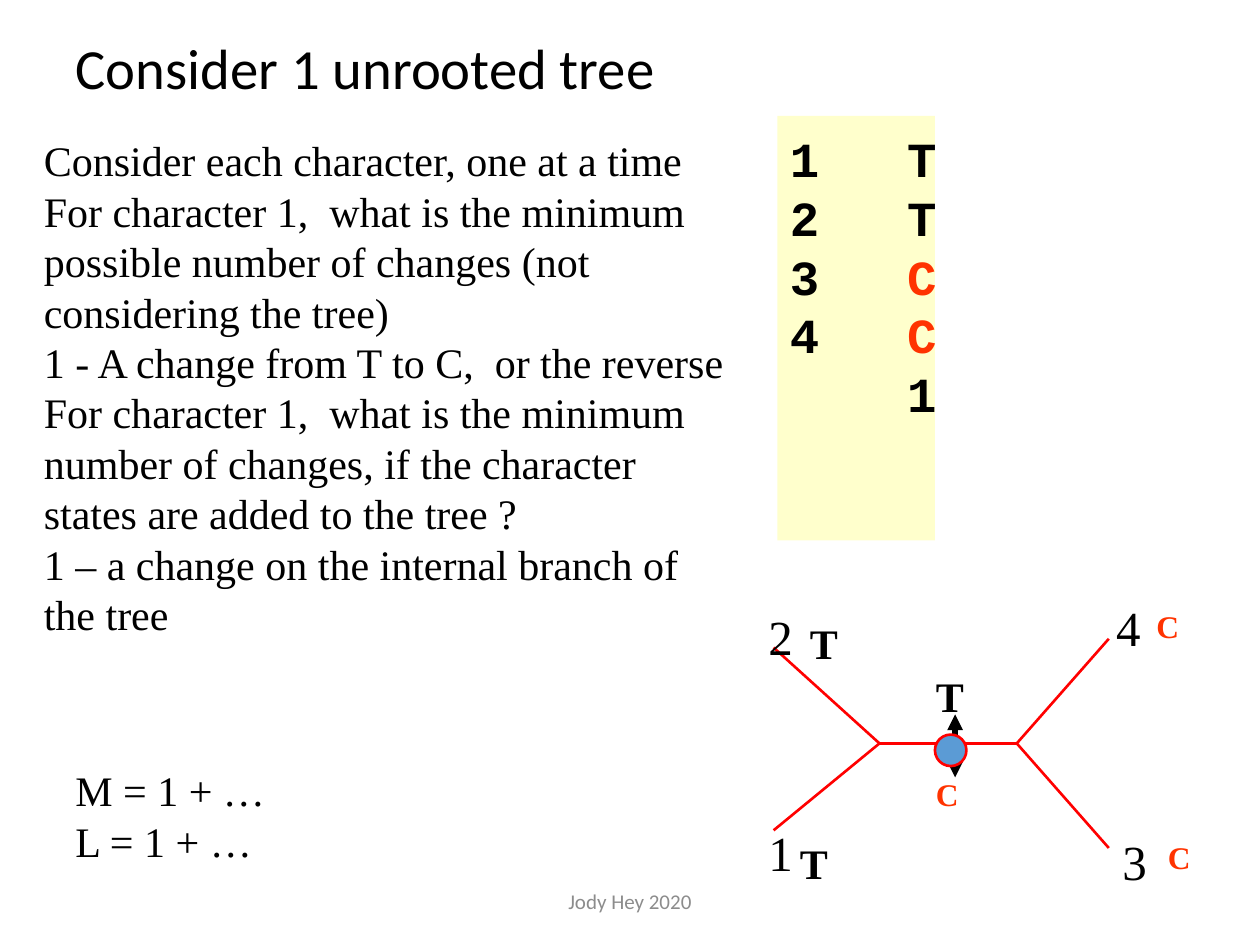
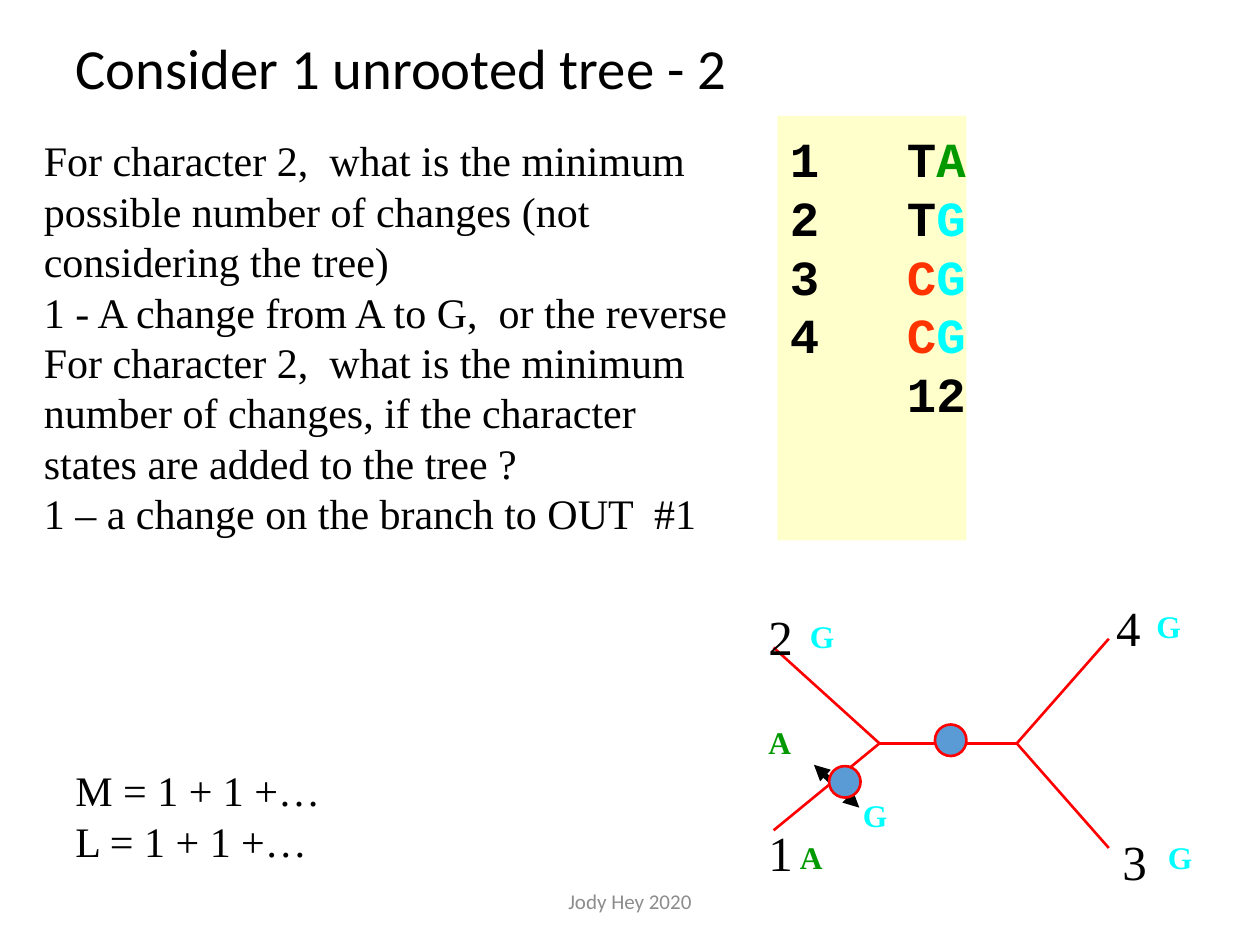
"""Build two slides that count character changes on an unrooted tree."""
from lxml import etree
from pptx import Presentation
from pptx.dml.color import RGBColor
from pptx.enum.shapes import MSO_CONNECTOR, MSO_SHAPE
from pptx.enum.text import MSO_ANCHOR, PP_ALIGN
from pptx.oxml.ns import qn
from pptx.util import Inches, Pt

BLACK = RGBColor(0x00, 0x00, 0x00)
RED = RGBColor(0xFF, 0x00, 0x00)
BLUE = RGBColor(0x5B, 0x9B, 0xD5)
CREAM = RGBColor(0xFF, 0xFF, 0xCC)
GREY = RGBColor(0x8C, 0x8C, 0x8C)
BASES = {
    "T": BLACK,
    "A": RGBColor(0x00, 0x99, 0x00),
    "C": RGBColor(0xFF, 0x33, 0x00),
    "G": RGBColor(0x00, 0xFF, 0xFF),
}
SERIF, SANS, MONO = "Times New Roman", "Calibri", "Courier New"
LEFT, CENTER = PP_ALIGN.LEFT, PP_ALIGN.CENTER
TOP, MIDDLE = MSO_ANCHOR.TOP, MSO_ANCHOR.MIDDLE
STRAIGHT, RECT, OVAL = MSO_CONNECTOR.STRAIGHT, MSO_SHAPE.RECTANGLE, MSO_SHAPE.OVAL

FOOTER = "Jody Hey 2020"
STATES = ["TTCC", "AGGG"]
FORK, JOIN = (6.98, 5.9), (8.07, 5.9)
EDGES = [
    ((6.14, 6.59), FORK),
    (FORK, (6.14, 5.14)),
    (FORK, JOIN),
    (JOIN, (8.8, 6.73)),
    (JOIN, (8.8, 5.07)),
]
LEAVES = [(6, 6.46), (6, 4.74), (8.81, 6.53), (8.76, 4.67)]
TIPS = [(6.25, 6.58), (6.33, 4.83), (9.17, 6.58), (9.08, 4.75)]

SLIDES = [
    {
        "title": "Consider 1 unrooted tree",
        "body": [
            "Consider each character, one at a time",
            "For character 1,  what is the minimum possible number of changes "
            "(not considering the tree)",
            "1 - A change from T to C,  or the reverse",
            "For character 1,  what is the minimum number of changes, if the "
            "character states are added to the tree ?",
            "1 – a change on the internal branch of the tree",
        ],
        "depth": 4.89,
        "sums": ["M = 1 + …", "L = 1 + …"],
        "change": [("T", (7.33, 5.25)), ("C", (7.33, 6.08))],
        "arrows": [((7.58, 5.75), (7.58, 6.17)), ((7.58, 6.08), (7.58, 5.67))],
        "dots": [(7.42, 5.83)],
    },
    {
        "title": "Consider 1 unrooted tree - 2",
        "body": [
            "For character 2,  what is the minimum possible number of changes "
            "(not considering the tree)",
            "1 - A change from A to G,  or the reverse",
            "For character 2,  what is the minimum number of changes, if the "
            "character states are added to the tree ?",
            "1 – a change on the branch to OUT  #1",
        ],
        "depth": 4.29,
        "sums": ["M = 1 + 1 +…", "L = 1 + 1 +…"],
        "change": [("A", (6, 5.67)), ("G", (6.75, 6.25))],
        "arrows": [((6.52, 6.13), (6.82, 6.41)), ((6.76, 6.35), (6.46, 6.07))],
        "dots": [(7.42, 5.75), (6.58, 6.08)],
    },
]


def write(frame, paras, size=24, font=SERIF, color=BLACK, bold=False,
          align=LEFT, anchor=TOP, space=None, top=0.05, wrap=True):
    """Fill a frame with paragraphs, each a string or a list of (text, color)."""
    frame.word_wrap = wrap
    frame.vertical_anchor = anchor
    frame.margin_top = Inches(top)
    for row, para in enumerate(paras):
        line = frame.add_paragraph() if row else frame.paragraphs[0]
        line.alignment = align
        line.line_spacing = space
        for text, tint in [(para, color)] if isinstance(para, str) else para:
            run = line.add_run()
            run.text = text
            run.font.size = Pt(size)
            run.font.name = font
            run.font.bold = bold
            run.font.color.rgb = tint


def label(slide, paras, left, top, width, height, size=24, **style):
    """Add a serif text box with even line pitch."""
    box = slide.shapes.add_textbox(*map(Inches, (left, top, width, height)))
    write(box.text_frame, paras, size=size, space=Pt(1.2 * size), top=0.07, **style)


def base(slide, letter, spot):
    """Add one character state beside the tree."""
    size = 24 if letter == "T" else 18
    label(slide, [letter], *spot, 0.5, 0.5, size=size, color=BASES[letter], bold=True)


def shape(slide, kind, left, top, width, height, fill, edge=None):
    """Add a flat preset shape."""
    form = slide.shapes.add_shape(kind, *map(Inches, (left, top, width, height)))
    form.shadow.inherit = False
    form.fill.solid()
    form.fill.fore_color.rgb = fill
    if edge is None:
        form.line.fill.background()
    else:
        form.line.color.rgb = edge
        form.line.width = Pt(1.5)
    return form


def branch(slide, start, end, color=RED, width=1.5, arrow=False):
    """Add a straight line, with an arrowhead at its end if asked."""
    link = slide.shapes.add_connector(STRAIGHT, *map(Inches, start + end))
    link.line.color.rgb = color
    link.line.width = Pt(width)
    if arrow:
        etree.SubElement(link.line._get_or_add_ln(), qn("a:tailEnd"), type="triangle")
    etree.SubElement(link._element.spPr, qn("a:effectLst"))


def matrix(slide, count):
    """Add the panel of the first count characters for each leaf."""
    panel = shape(slide, RECT, 6.17, 0.92, 1 + 0.25 * count, 3.37, CREAM)
    rows = [
        [(f"{leaf}\t", BLACK)] + [(letter, BASES[letter]) for letter in letters]
        for leaf, letters in enumerate(zip(*STATES[:count]), 1)
    ]
    rows.append("\t" + "".join(str(n + 1) for n in range(count)))
    frame = panel.text_frame
    frame.margin_right = 0
    write(frame, rows, size=28, font=MONO, bold=True, space=Pt(33.6), top=0.1, wrap=False)
    for line in frame.paragraphs:
        tabs = etree.SubElement(line._p.get_or_add_pPr(), qn("a:tabLst"))
        etree.SubElement(tabs, qn("a:tab"), pos=str(Inches(0.93)), algn="l")


def build(deck, number, data):
    """Add one slide."""
    slide = deck.slides.add_slide(deck.slide_layouts[5])
    title = slide.shapes.title
    title.left, title.top, title.width, title.height = map(Inches, (0.5, 0.3, 9, 0.53))
    write(title.text_frame, [data["title"]], size=32.4, font=SANS, anchor=MIDDLE, space=0.9)
    for start, end in EDGES:
        branch(slide, start, end)
    for leaf, spot in enumerate(LEAVES, 1):
        label(slide, [str(leaf)], *spot, 0.35, 0.57, size=28)
    matrix(slide, number)
    label(slide, data["body"], 0.25, 1, 5.67, data["depth"])
    label(slide, data["sums"], 0.5, 6, 4.5, 1.1)
    for letter, spot in [*zip(STATES[number - 1], TIPS), *data["change"]]:
        base(slide, letter, spot)
    for start, end in data["arrows"]:
        branch(slide, start, end, color=BLACK, width=3, arrow=True)
    for spot in data["dots"]:
        shape(slide, OVAL, *spot, 0.25, 0.25, BLUE, edge=RED)
    foot = slide.shapes.add_textbox(*map(Inches, (3.31, 6.95, 3.38, 0.4)))
    write(foot.text_frame, [FOOTER], size=12, font=SANS, color=GREY,
          align=CENTER, anchor=MIDDLE)


def main():
    """Build and save the deck."""
    deck = Presentation()
    deck.slide_width, deck.slide_height = Inches(10), Inches(7.5)
    for number, data in enumerate(SLIDES, 1):
        build(deck, number, data)
    deck.save("out.pptx")


if __name__ == "__main__":
    main()
